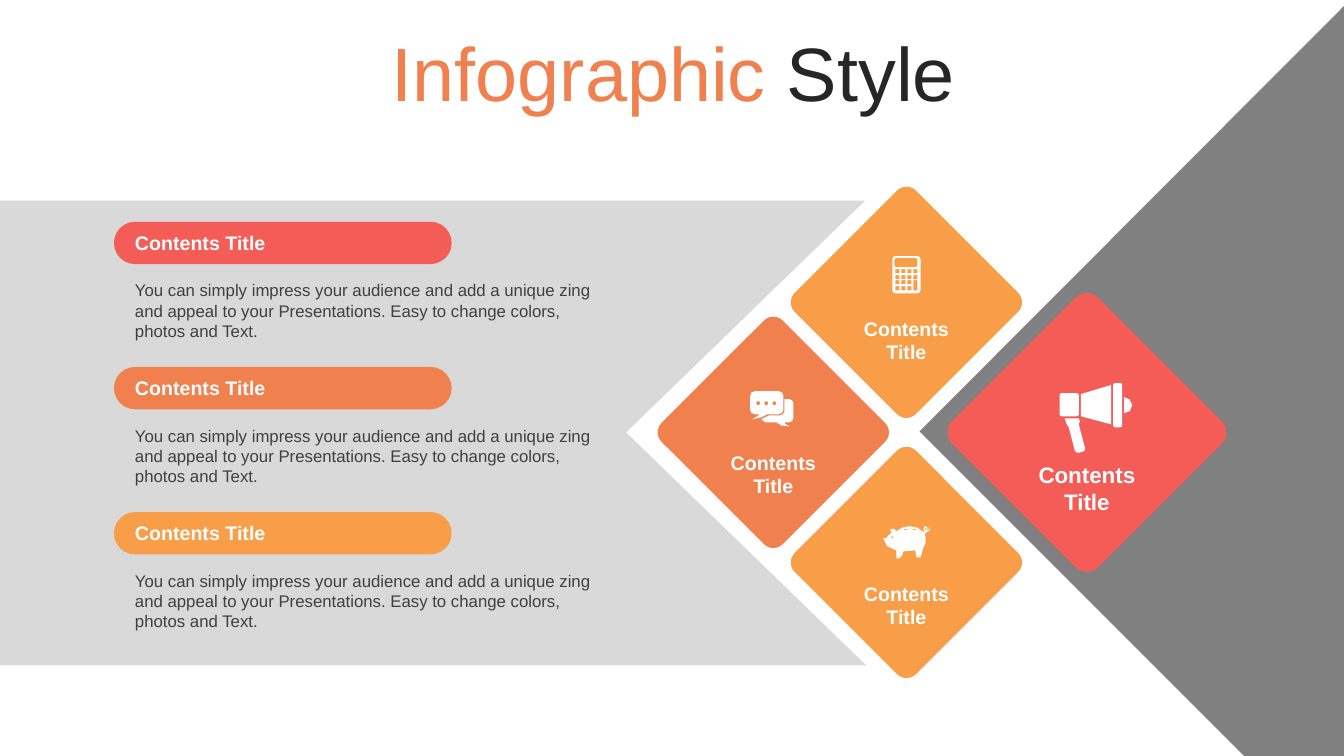
from dataclasses import dataclass
from math import cos, pi, sin

from pptx import Presentation
from pptx.dml.color import RGBColor
from pptx.enum.shapes import MSO_SHAPE as Preset
from pptx.enum.text import MSO_ANCHOR as Anchor, MSO_AUTO_SIZE as AutoSize, PP_ALIGN as Align
from pptx.util import Inches, Pt


@dataclass(frozen=True)
class Theme:
    font: str = "Arial"
    red: str = "F45C58"
    coral: str = "F0804E"
    amber: str = "F89E48"
    band: str = "D9D9D9"
    wedge: str = "808080"
    white: str = "FFFFFF"
    ink: str = "262626"
    body: str = "404040"
    title_size: int = 54
    feature_size: int = 16
    label_size: int = 14
    body_size: int = 12


THEME = Theme()
BODY_TEXT = ("You can simply impress your audience and add a unique zing and appeal "
             "to your Presentations. Easy to change colors, photos and Text.")


# Drawing helpers
def paint(shape, color):
    shape.shadow.inherit = False
    shape.fill.solid()
    shape.fill.fore_color.rgb = RGBColor.from_string(color)
    shape.line.fill.background()


def style_run(run, size, color, bold=False):
    run.font.name = THEME.font
    run.font.size = Pt(size)
    run.font.bold = bold
    run.font.color.rgb = RGBColor.from_string(color)


def add_text(slide, left, top, width, height, text, size, color, bold=False, align=Align.LEFT):
    box = slide.shapes.add_textbox(Inches(left), Inches(top), Inches(width), Inches(height))
    frame = box.text_frame
    frame.word_wrap = True
    frame.auto_size = AutoSize.SHAPE_TO_FIT_TEXT
    frame.text = text
    for paragraph in frame.paragraphs:
        paragraph.alignment = align
        for run in paragraph.runs:
            style_run(run, size, color, bold)


def add_round_box(slide, left, top, width, height, color, corner):
    shape = slide.shapes.add_shape(Preset.ROUNDED_RECTANGLE, Inches(left), Inches(top),
                                   Inches(width), Inches(height))
    shape.adjustments[0] = corner
    paint(shape, color)
    return shape


def add_outline(slide, left, top, contours, color):
    """Draw contours, given in inches from (left, top), as one shape; inner ones are holes."""
    placed = [[(Inches(left + x), Inches(top + y)) for x, y in contour] for contour in contours]
    builder = slide.shapes.build_freeform(*placed[0][0])
    for index, points in enumerate(placed):
        if index:
            builder.move_to(*points[0])
        builder.add_line_segments(points[1:], close=True)
    paint(builder.convert_to_shape(), color)


def rectangle(left, top, width, height):
    return [(left, top), (left + width, top), (left + width, top + height), (left, top + height)]


def rounded(left, top, width, height, radius):
    inner = rectangle(left + radius, top + radius, width - 2 * radius, height - 2 * radius)
    angles = [[(quarter + step / 2) * pi / 2 for step in range(3)] for quarter in (2, 3, 0, 1)]
    return [(x + radius * cos(angle), y + radius * sin(angle))
            for (x, y), corner in zip(inner, angles) for angle in corner]


def dot(x, y, radius):
    return [(x + radius * cos(step * pi / 4), y + radius * sin(step * pi / 4)) for step in range(8)]


def curved(*segments):
    """Turn points (two numbers) and cubic curves (six numbers) into a contour."""
    points = [segments[0]]
    for segment in segments[1:]:
        if len(segment) == 6:
            x0, y0 = points[-1]
            x1, y1, x2, y2, x3, y3 = segment
            points.append(((x0 + 3 * x1 + 3 * x2 + x3) / 8, (y0 + 3 * y1 + 3 * y2 + y3) / 8))
        points.append(segment[-2:])
    return points


# Icons
def calculator_icon():
    contours = [rounded(0, 0, 0.28, 0.37, 0.03), rounded(0.02, 0.02, 0.23, 0.09, 0.02)]
    for row, top in enumerate((0.13, 0.19, 0.24, 0.3)):
        for column in range(3 if row == 3 else 4):
            tall = column == 3 and row == 2
            contours.append(rectangle(0.03 + 0.06 * column, top, 0.04, 0.1 if tall else 0.04))
    return contours


def chat_icon():
    front = curved((0.05, 0), (0.28, 0), (0.31, 0, 0.33, 0.02, 0.33, 0.05), (0.33, 0.19),
                   (0.33, 0.21, 0.31, 0.23, 0.28, 0.23), (0.17, 0.23),
                   (0.12, 0.26, 0.1, 0.27, 0.02, 0.28), (0.1, 0.23),
                   (0.05, 0.23), (0.02, 0.23, 0, 0.21, 0, 0.19), (0, 0.05),
                   (0, 0.02, 0.02, 0, 0.05, 0))
    back = curved((0.34, 0.08), (0.39, 0.08), (0.41, 0.08, 0.43, 0.1, 0.43, 0.12), (0.43, 0.26),
                  (0.43, 0.29, 0.41, 0.31, 0.39, 0.31), (0.34, 0.31),
                  (0.35, 0.32, 0.34, 0.33, 0.39, 0.35), (0.31, 0.35, 0.3, 0.34, 0.26, 0.31),
                  (0.15, 0.31), (0.11, 0.28), (0.19, 0.24), (0.3, 0.24),
                  (0.32, 0.24, 0.34, 0.22, 0.34, 0.2))
    return [front, back] + [dot(0.08 + 0.08 * index, 0.12, 0.02) for index in range(3)]


def megaphone_icon():
    handle = curved((0.19, 0.35), (0.2, 0.38), (0.19, 0.41), (0.25, 0.64),
                    (0.26, 0.66, 0.25, 0.68, 0.23, 0.68), (0.2, 0.69),
                    (0.18, 0.7, 0.16, 0.69, 0.15, 0.67), (0.09, 0.44), (0.07, 0.41), (0.05, 0.35))
    knob = curved((0.64, 0.14), (0.68, 0.14, 0.72, 0.18, 0.72, 0.22),
                  (0.72, 0.27, 0.68, 0.3, 0.64, 0.3))
    horn = [(0.51, 0.02), (0.51, 0.41), (0.21, 0.33), (0.21, 0.11)]
    return [handle, knob, horn, rounded(0, 0.1, 0.19, 0.23, 0.02), rounded(0.53, 0, 0.09, 0.44, 0.02)]


def pig_icon():
    body = curved((0.27, 0), (0.32, 0, 0.38, 0.02, 0.4, 0.05), (0.41, 0.06), (0.42, 0.05),
                  (0.41, 0.03), (0.41, 0.01, 0.42, 0, 0.43, 0), (0.45, 0, 0.45, 0.02, 0.45, 0.04),
                  (0.46, 0.04, 0.47, 0.04, 0.47, 0), (0.48, 0.04, 0.47, 0.05, 0.44, 0.06),
                  (0.42, 0.08), (0.43, 0.1), (0.44, 0.15, 0.43, 0.19, 0.41, 0.21),
                  (0.38, 0.31), (0.34, 0.31), (0.33, 0.24), (0.21, 0.25),
                  (0.21, 0.28, 0.19, 0.3, 0.17, 0.32), (0.14, 0.32), (0.14, 0.24),
                  (0.09, 0.22, -0.01, 0.19, 0.01, 0.12), (0.04, 0.12),
                  (0.06, 0.09, 0.07, 0.08, 0.09, 0.07), (0.08, 0.03),
                  (0.12, 0.01, 0.12, 0.03, 0.14, 0.05), (0.17, 0.02, 0.23, 0, 0.27, 0))
    slot = curved((0.21, 0.03), (0.25, 0.02, 0.3, 0.02, 0.34, 0.03), (0.33, 0.04),
                  (0.3, 0.02, 0.25, 0.02, 0.22, 0.04))
    return [body, slot, dot(0.1, 0.11, 0.01), dot(0.43, 0.03, 0.01)]


# Regions of the slide
def add_title(slide, left, top, width, height):
    title = slide.shapes.title
    title.left, title.top, title.width, title.height = map(Inches, (left, top, width, height))
    frame = title.text_frame
    frame.auto_size = AutoSize.NONE
    frame.vertical_anchor = Anchor.MIDDLE
    paragraph = frame.paragraphs[0]
    paragraph.alignment = Align.CENTER
    paragraph.line_spacing = 0.9
    for text, color in (("Infographic", THEME.coral), (" Style", THEME.ink)):
        run = paragraph.add_run()
        run.text = text
        style_run(run, THEME.title_size, color)


def add_backdrop(slide):
    add_outline(slide, 0, 1.99, [[(0, 0), (8.58, 0), (6.21, 2.3), (8.59, 4.61), (0, 4.61)]], THEME.band)
    add_outline(slide, 9.12, 0.03, [[(4.21, 0.03), (4.21, 7.47), (3.22, 7.47), (0, 4.25)]], THEME.wedge)


def add_content_block(slide, left, top, color):
    add_round_box(slide, left, top, 3.35, 0.42, color, 0.5)
    add_text(slide, left + 0.11, top + 0.53, 4.95, 0.71, BODY_TEXT, THEME.body_size, THEME.body)
    add_text(slide, left + 0.11, top + 0.04, 2.83, 0.34, "Contents Title",
             THEME.label_size, THEME.white, bold=True)


def add_diamond(slide, x, y, side, color, icon, icon_offset, label_drop, label_size):
    """Place a diamond with its icon and label around the centre (x, y)."""
    diamond = add_round_box(slide, x - side / 2, y - side / 2, side, side, color, 0.078)
    diamond.rotation = 45
    add_outline(slide, x + icon_offset[0], y + icon_offset[1], icon, THEME.white)
    add_text(slide, x - 0.94, y + label_drop, 1.88, 0.57, "Contents\nTitle",
             label_size, THEME.white, bold=True, align=Align.CENTER)


def main():
    presentation = Presentation()
    presentation.slide_width, presentation.slide_height = Inches(13.33), Inches(7.5)
    slide = presentation.slides.add_slide(presentation.slide_layouts[5])

    add_title(slide, 0.35, 0.37, 12.66, 0.79)
    add_backdrop(slide)
    for index, color in enumerate((THEME.red, THEME.coral, THEME.amber)):
        add_content_block(slide, 1.13, 2.2 + 1.44 * index, color)

    middle, small = 4.29, THEME.label_size
    add_diamond(slide, 10.78, middle, 2.05, THEME.red, megaphone_icon(), (-0.27, -0.49),
                0.24, THEME.feature_size)
    add_diamond(slide, 7.67, middle, 1.7, THEME.coral, chat_icon(), (-0.23, -0.41), 0.13, small)
    add_diamond(slide, 8.99, middle - 1.29, 1.7, THEME.amber, calculator_icon(), (-0.14, -0.46), 0.09, small)
    add_diamond(slide, 8.99, middle + 1.29, 1.7, THEME.amber, pig_icon(), (-0.24, -0.36), 0.14, small)
    presentation.save("out.pptx")


if __name__ == "__main__":
    main()
